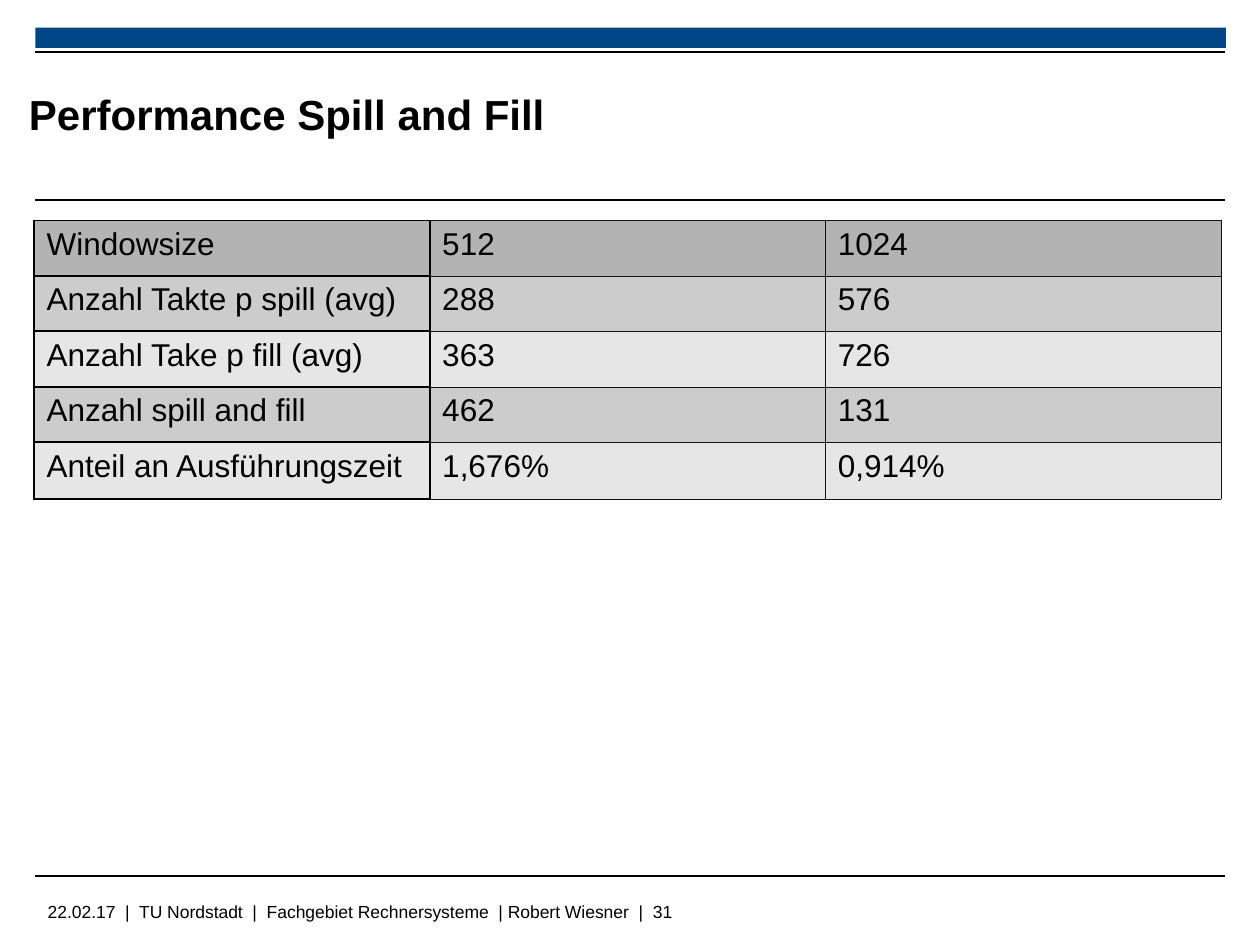
from lxml.etree import SubElement
from pptx import Presentation
from pptx.dml.color import RGBColor
from pptx.enum.shapes import MSO_CONNECTOR, MSO_SHAPE
from pptx.enum.text import MSO_ANCHOR, PP_ALIGN
from pptx.oxml.ns import qn
from pptx.util import Inches, Pt

TITLE = "Performance Spill and Fill"
FOOTER = "22.02.17  |  TU Nordstadt  |  Fachgebiet Rechnersysteme  | Robert Wiesner  |  31"
ROWS = [
    ("Windowsize", "512", "1024"),
    ("Anzahl Takte p spill (avg)", "288", "576"),
    ("Anzahl Take p fill (avg)", "363", "726"),
    ("Anzahl spill and fill", "462", "131"),
    ("Anteil an Ausführungszeit", "1,676%", "0,914%"),
]
THEME = {
    "bar": "004586",
    "ink": "000000",
    "header": "B3B3B3",
    "bands": ("CCCCCC", "E6E6E6"),
    "rule": 1.13,
    "strong": ("000000", 1.13),
    "thin": ("111111", 0.06),
    "title": {"name": "Arial", "size": Pt(24), "bold": True},
    "cell": {"name": "Arial", "size": Pt(18), "bold": False},
    "footer": {"name": "Arial", "size": Pt(10), "bold": False},
}
LEFT, RIGHT = 0.28, 9.72
RULE_TOPS = (0.41, 1.59, 6.95)
COLUMN_WIDTH = 3.14
ROW_HEIGHTS = (0.44, 0.44, 0.44, 0.44, 0.45)


def color(code):
    return RGBColor.from_string(code)


def write(text_frame, text, style):
    paragraph = text_frame.paragraphs[0]
    paragraph.alignment = PP_ALIGN.LEFT
    run = paragraph.add_run()
    run.text = text
    for name, value in THEME[style].items():
        setattr(run.font, name, value)
    run.font.color.rgb = color(THEME["ink"])


def place(shape, left, top, width, height):
    box = {"left": left, "top": top, "width": width, "height": height}
    for name, value in box.items():
        setattr(shape, name, Inches(value))


def add_rule(slide, top):
    rule = slide.shapes.add_connector(
        MSO_CONNECTOR.STRAIGHT, Inches(LEFT), Inches(top), Inches(RIGHT), Inches(top))
    rule.line.color.rgb = color(THEME["ink"])
    rule.line.width = Pt(THEME["rule"])
    SubElement(rule._element.spPr, qn("a:effectLst"))


def set_borders(cell, column):
    styles = dict.fromkeys("LRTB", THEME["thin"] if column else THEME["strong"])
    if column == 1:
        styles["L"] = THEME["strong"]
    properties = cell._tc.get_or_add_tcPr()
    for side, (code, width) in styles.items():
        line = SubElement(properties, qn(f"a:ln{side}"), w=str(Pt(width)))
        fill = SubElement(line, qn("a:solidFill"))
        SubElement(fill, qn("a:srgbClr"), val=code)


def add_results(slide):
    columns = len(ROWS[0])
    table = slide.shapes.add_table(
        len(ROWS), columns, Inches(0.27), Inches(1.75),
        Inches(COLUMN_WIDTH * columns), Inches(sum(ROW_HEIGHTS))).table
    for column in table.columns:
        column.width = Inches(COLUMN_WIDTH)
    for row_index, values in enumerate(ROWS):
        table.rows[row_index].height = Inches(ROW_HEIGHTS[row_index])
        shade = THEME["bands"][(row_index - 1) % 2] if row_index else THEME["header"]
        for column_index, value in enumerate(values):
            cell = table.cell(row_index, column_index)
            set_borders(cell, column_index)
            cell.fill.solid()
            cell.fill.fore_color.rgb = color(shade)
            write(cell.text_frame, value, "cell")


def main():
    presentation = Presentation()
    presentation.slide_width, presentation.slide_height = Inches(10), Inches(7.5)
    slide = presentation.slides.add_slide(presentation.slide_layouts[5])

    bar = slide.shapes.add_shape(
        MSO_SHAPE.RECTANGLE, Inches(LEFT), Inches(0.22), Inches(9.45), Inches(0.16))
    bar.shadow.inherit = False
    bar.fill.solid()
    bar.fill.fore_color.rgb = color(THEME["bar"])
    bar.line.fill.background()

    for top in RULE_TOPS:
        add_rule(slide, top)

    footer = slide.shapes.add_textbox(
        Inches(LEFT), Inches(7.1), Inches(7.99), Inches(0.25))
    footer.text_frame.word_wrap = True
    write(footer.text_frame, FOOTER, "footer")

    title = slide.shapes.title
    place(title, 0.23, 0.4, 7.26, 1)
    frame_format = {
        "margin_left": 0, "margin_right": 0, "margin_top": 0, "margin_bottom": 0,
        "vertical_anchor": MSO_ANCHOR.MIDDLE, "word_wrap": True,
    }
    for name, value in frame_format.items():
        setattr(title.text_frame, name, value)
    write(title.text_frame, TITLE, "title")

    add_results(slide)
    presentation.save("out.pptx")


if __name__ == "__main__":
    main()
